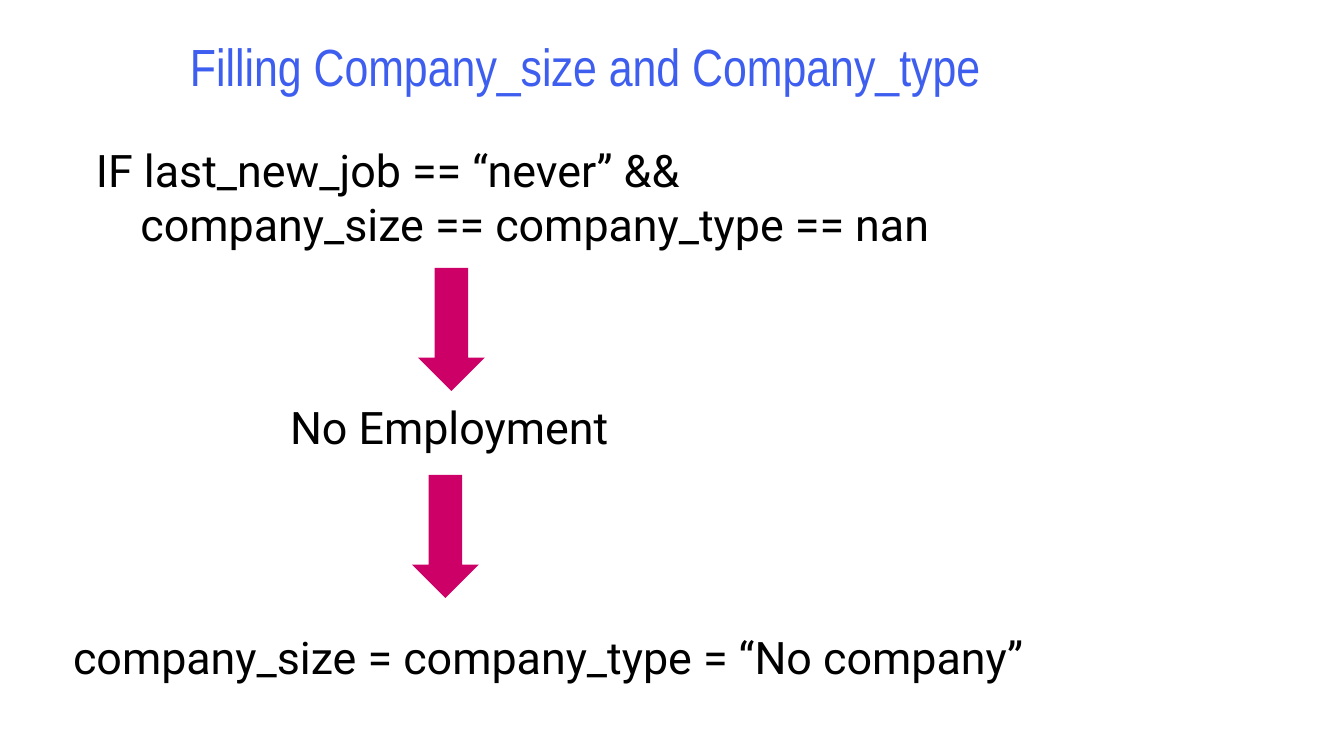
"""Build the slide on filling missing company size and type."""
from pptx import Presentation
from pptx.dml.color import RGBColor
from pptx.enum import shapes, text
from pptx.util import Emu, Pt

EMU_PER_PX = 914400 / 134.4
SLIDE_SIZE = (1344, 756)
LINE_HEIGHT = 71
INSET = 13
ARROW_SIZE = (67, 123)
ARROW_COLOR = "CC0066"

TITLE_STYLE = ("Arial Narrow", 28, "3E5EEF")
BODY_STYLE = ("Roboto", 24, "000000")

# left, top, width, lines, style
TEXTS = [
    (177, 30, 919, ["Filling Company_size and Company_type"], TITLE_STYLE),
    (83, 161, 1106, ["IF last_new_job == “never” &&",
                     "    company_size == company_type == nan"], BODY_STYLE),
    (277, 391, 386, ["No Employment"], BODY_STYLE),
    (60, 621, 996, ["company_size = company_type = “No company”"], BODY_STYLE),
]
ARROWS = [(418, 268), (412, 475)]


def px(value):
    """Turn pixels into EMU."""
    return Emu(round(value * EMU_PER_PX))


def color(value):
    """Turn a hex string into a colour."""
    return RGBColor.from_string(value)


def add_text(slide, left, top, width, lines, style):
    """Add a vertically centred text box."""
    font_name, size, font_color = style
    box = slide.shapes.add_textbox(px(left), px(top), px(width), px(LINE_HEIGHT))
    frame = box.text_frame
    frame.word_wrap = True
    frame.vertical_anchor = text.MSO_ANCHOR.MIDDLE
    frame.margin_left = frame.margin_right = px(INSET)
    frame.margin_top = frame.margin_bottom = px(INSET)
    frame.text = "\n".join(lines)
    for paragraph in frame.paragraphs:
        for run in paragraph.runs:
            run.font.name = font_name
            run.font.size = Pt(size)
            run.font.color.rgb = color(font_color)


def add_arrow(slide, left, top):
    """Add a plain filled down arrow."""
    width, height = ARROW_SIZE
    arrow = slide.shapes.add_shape(
        shapes.MSO_SHAPE.DOWN_ARROW, px(left), px(top), px(width), px(height))
    arrow.shadow.inherit = False
    arrow.fill.solid()
    arrow.fill.fore_color.rgb = color(ARROW_COLOR)
    arrow.line.fill.background()


def main():
    """Build and save the presentation."""
    presentation = Presentation()
    presentation.slide_width, presentation.slide_height = map(px, SLIDE_SIZE)
    slide = presentation.slides.add_slide(presentation.slide_layouts[6])
    for entry in TEXTS:
        add_text(slide, *entry)
    for position in ARROWS:
        add_arrow(slide, *position)
    presentation.save("out.pptx")


if __name__ == "__main__":
    main()
